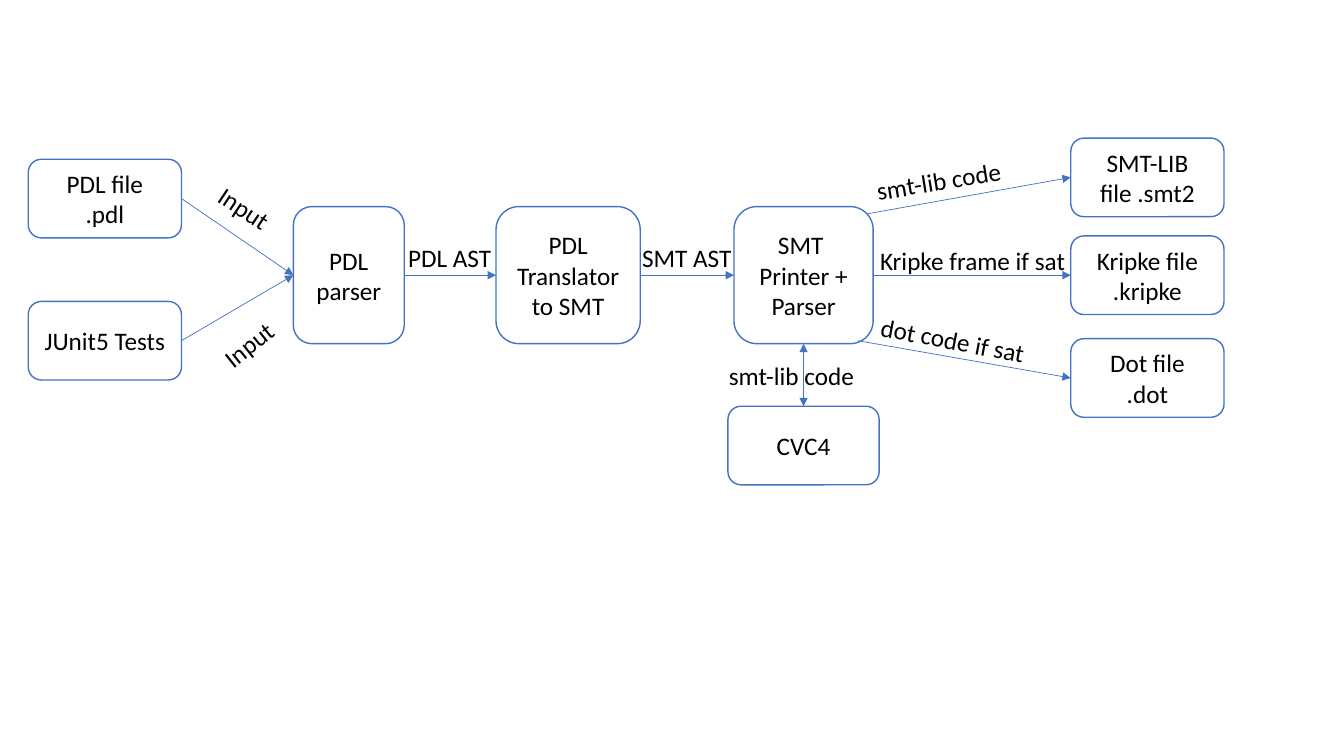
import pptx
import pptx.util
import pptx.dml.color
import pptx.enum.shapes
import pptx.enum.text
import pptx.oxml
import pptx.oxml.ns

PX = 9144  # 100 px to the inch
TOP, LEFT, BOTTOM, RIGHT = range(4)  # connection sites of a box
COLOURS = {"paper": "FFFFFF", "line": "4472C4", "text": "000000"}


def px(n):
    return pptx.util.Emu(n * PX)


def colour(name):
    return pptx.dml.color.RGBColor.from_string(COLOURS[name])


class Diagram:
    font = "Calibri"
    size = pptx.util.Pt(18)

    def __init__(self, slide):
        self.slide = slide

    def fill_text(self, tf, text, align):
        """Newlines start paragraphs; vertical tabs break lines within one."""
        tf.word_wrap = True
        for i, para in enumerate(text.split("\n")):
            p = tf.paragraphs[0] if i == 0 else tf.add_paragraph()
            p.alignment = align
            for j, line in enumerate(para.split("\v")):
                if j:
                    p.add_line_break()
                r = p.add_run()
                r.text = line
                r.font.name = self.font
                r.font.size = self.size
                r.font.color.rgb = colour("text")

    def box(self, text, x, y, w=152, h=78):
        sp = self.slide.shapes.add_shape(
            pptx.enum.shapes.MSO_SHAPE.ROUNDED_RECTANGLE, px(x), px(y), px(w), px(h))
        sp.shadow.inherit = False
        sp.fill.solid()
        sp.fill.fore_color.rgb = colour("paper")
        sp.line.color.rgb = colour("line")
        sp.line.width = pptx.util.Pt(1)
        sp.text_frame.vertical_anchor = pptx.enum.text.MSO_ANCHOR.MIDDLE
        self.fill_text(sp.text_frame, text, pptx.enum.text.PP_ALIGN.CENTER)
        return sp

    def arrow(self, box, site, target, target_site, start=None, both=False):
        """Join two boxes; a start point replaces the site on the first box."""
        x, y = start or (0, 0)
        cxn = self.slide.shapes.add_connector(
            pptx.enum.shapes.MSO_CONNECTOR.STRAIGHT, px(x), px(y), px(x), px(y))
        if not start:
            cxn.begin_connect(box, site)
        cxn.end_connect(target, target_site)
        cxn.line.color.rgb = colour("line")
        cxn.line.width = pptx.util.Pt(0.5)
        sp_pr = cxn._element.spPr
        ln = sp_pr.find(pptx.oxml.ns.qn("a:ln"))
        for tag in ("a:headEnd", "a:tailEnd") if both else ("a:tailEnd",):
            ln.append(ln.makeelement(pptx.oxml.ns.qn(tag), {"type": "triangle"}))
        sp_pr.append(sp_pr.makeelement(pptx.oxml.ns.qn("a:effectLst"), {}))

    def label(self, text, x, y, w, angle=0):
        sp = self.slide.shapes.add_textbox(px(x), px(y), px(w), px(40))
        sp.rotation = angle
        sp.text_frame.auto_size = pptx.enum.text.MSO_AUTO_SIZE.SHAPE_TO_FIT_TEXT
        self.fill_text(sp.text_frame, text, pptx.enum.text.PP_ALIGN.LEFT)


def main():
    prs = pptx.Presentation()
    prs.slide_width, prs.slide_height = px(1333), px(750)
    d = Diagram(prs.slides.add_slide(prs.slide_layouts[6]))

    pdl_file = d.box("PDL file\n.pdl", 28, 158)
    tests = d.box("JUnit5 Tests", 28, 299)
    parser = d.box("PDL parser", 291, 205, 110, 136)
    translator = d.box("PDL Translator to SMT", 492, 205, 143, 136)
    smt_file = d.box("SMT-LIB file .smt2", 1062, 137)
    kripke_file = d.box("Kripke file\v.kripke", 1062, 234)
    dot_file = d.box("Dot file\v.dot", 1062, 336)
    printer = d.box("SMT \nPrinter + Parser", 728, 205, 138, 136)
    solver = d.box("CVC4", 722, 403, 150)

    d.arrow(printer, RIGHT, smt_file, LEFT, start=(861, 212))
    d.arrow(printer, RIGHT, dot_file, LEFT, start=(851, 338))
    for source, target in ((pdl_file, parser), (tests, parser), (parser, translator),
                           (translator, printer), (printer, kripke_file)):
        d.arrow(source, RIGHT, target, LEFT)
    d.arrow(printer, BOTTOM, solver, TOP, both=True)

    for label in (
        ("Input", 205, 188, 79, 33.6),
        ("Input", 209, 320, 79, -38.4),
        ("PDL AST", 395, 235, 110),
        ("SMT AST", 627, 235, 110),
        ("smt-lib code", 859, 159, 148, -9.2),
        ("Kripke frame if sat", 863, 238, 205),
        ("dot code if sat", 863, 319, 183, 10.7),
        ("smt-lib code", 713, 353, 173),
    ):
        d.label(*label)

    prs.save("out.pptx")


if __name__ == "__main__":
    main()
